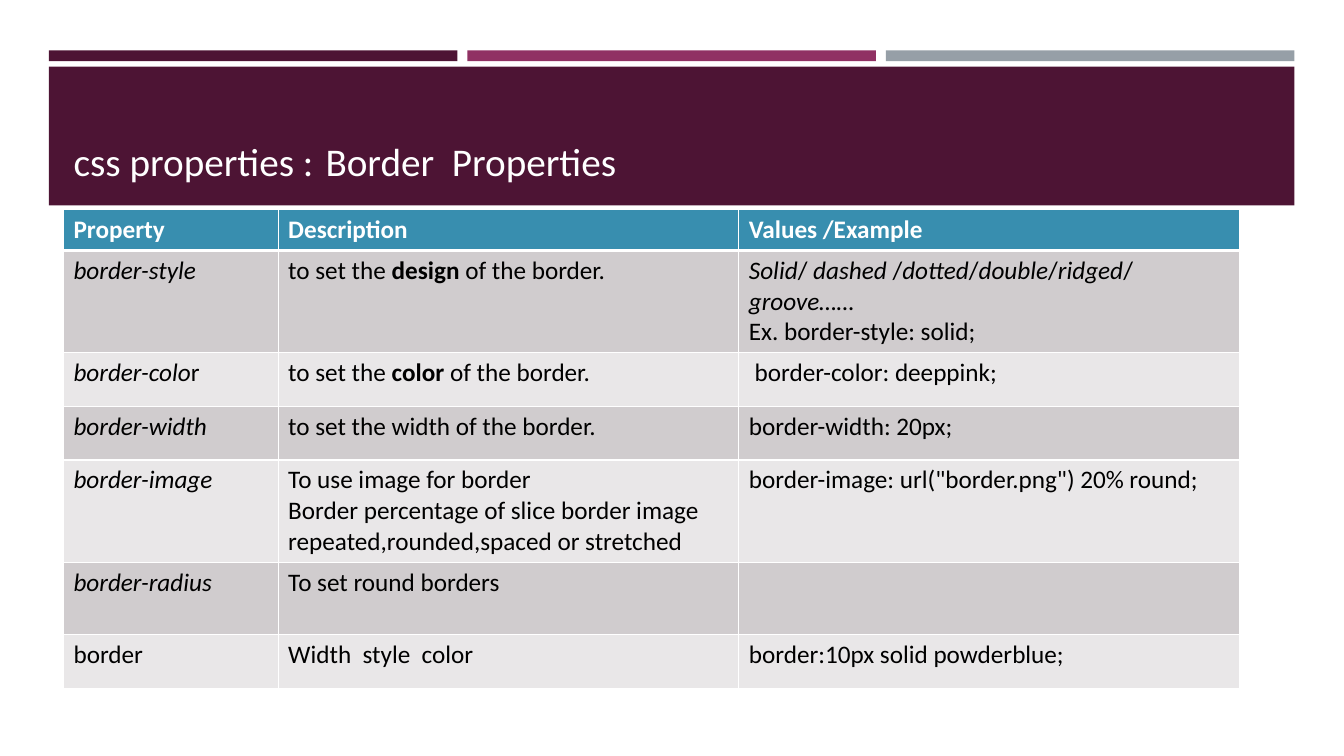
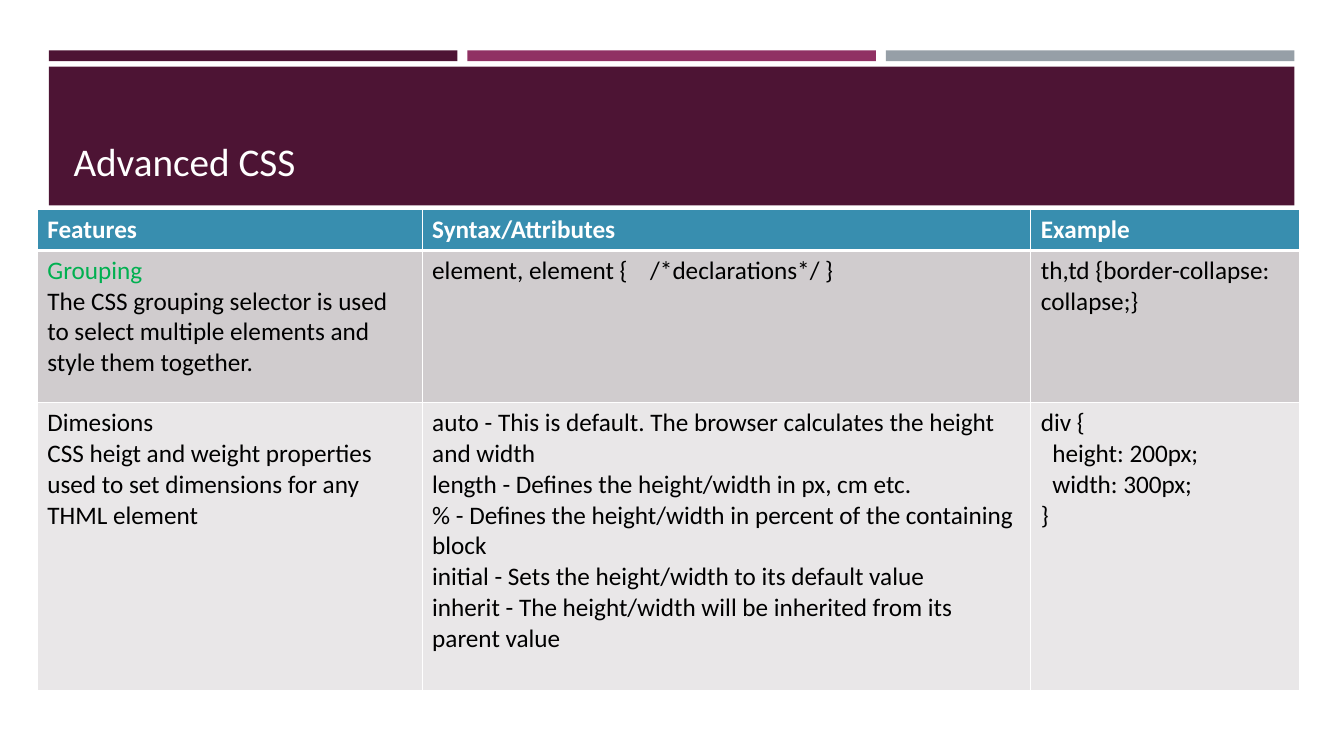
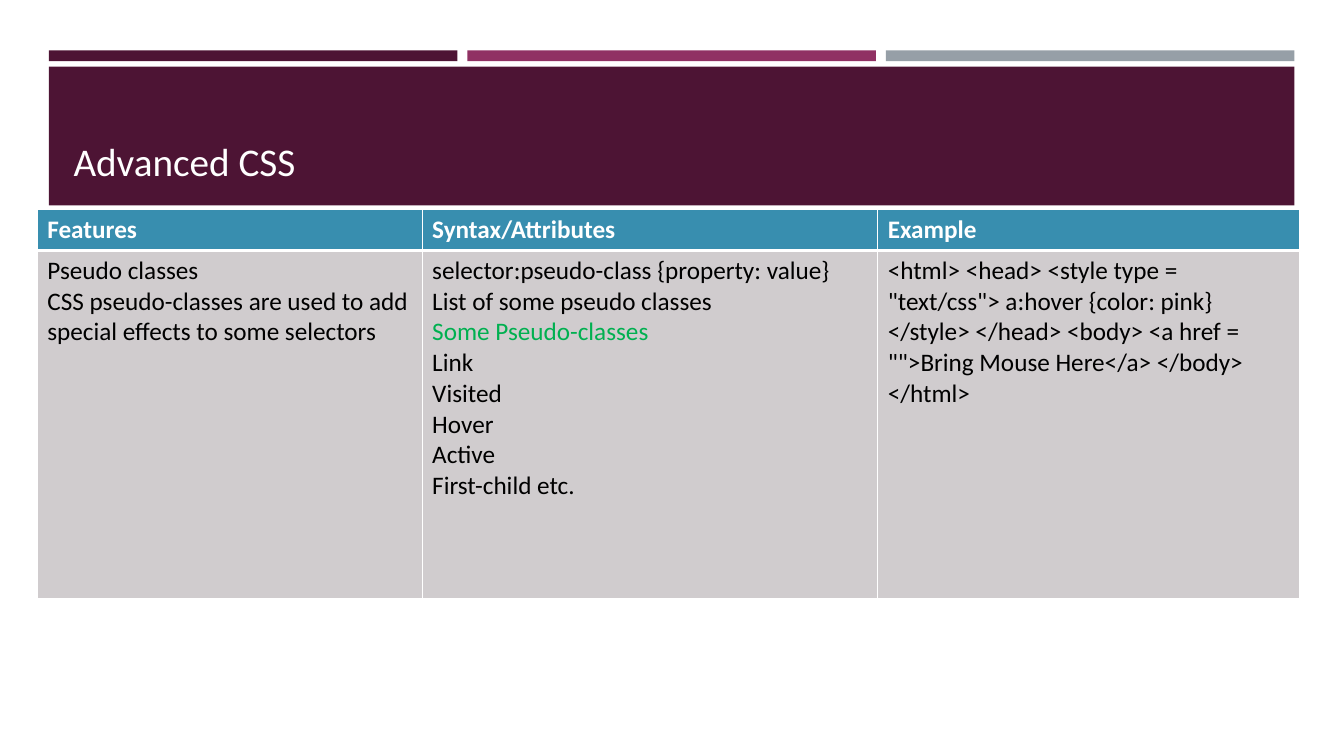
from lxml.etree import SubElement as Sub
from pptx import Presentation
from pptx.dml.color import RGBColor
from pptx.enum.shapes import MSO_SHAPE as Shape
from pptx.enum.text import MSO_ANCHOR as Anchor, MSO_AUTO_SIZE as Auto, PP_ALIGN as Align
from pptx.oxml.ns import qn
from pptx.util import Cm, Pt

FONT = "Calibri"
PLUM, ROSE, GREY, WHITE, BLACK = "4D1434", "903163", "969FA7", "FFFFFF", "000000"
BLUE, GREEN, DARK, PALE = "388EAF", "00B050", "D0CCCE", "E9E7E8"
BAND = (1.23, 1.27, 31.39, 3.91)
GAP = 0.25
TOP = 5.28
HEAD = 1.0
STYLES = {"": {}, "b": {"bold": True}, "i": {"italic": True}, "g": {"color": GREEN}}


def paint(fill, color):
    """Fill with one solid colour given as a hex string."""
    fill.solid()
    fill.fore_color.rgb = RGBColor.from_string(color)


def write(para, text, size, color=BLACK, bold=False, italic=False):
    """Add one formatted run to a paragraph."""
    run = para.add_run()
    run.text = text
    font = run.font
    font.name, font.size, font.bold, font.italic = FONT, Pt(size), bold, italic
    font.color.rgb = RGBColor.from_string(color)


def block(slide, color, x, y, w, h):
    """Add a plain rectangle without outline or shadow."""
    rect = slide.shapes.add_shape(Shape.RECTANGLE, Cm(x), Cm(y), Cm(w), Cm(h))
    rect.shadow.inherit = False
    rect.line.fill.background()
    paint(rect.fill, color)
    return rect


def frame(deck, layout, box):
    """Give the layout its three bars, title band and title place."""
    x, y, w, h = box
    for part in list(layout.placeholders)[1:]:
        part.element.getparent().remove(part.element)
    slide = deck.slides.add_slide(layout)
    wide = (w - 2 * GAP) / 3
    rects = [block(slide, color, x + col * (wide + GAP), y, wide, 0.27)
             for col, color in enumerate((PLUM, ROSE, GREY))]
    rects.append(block(slide, PLUM, x, y + 0.41, w, h - 0.41))
    for spot, rect in enumerate(rects, 2):
        layout.shapes.element.insert(spot, rect.element)
    title = layout.placeholders[0]
    title.left, title.top = Cm(x + 0.37), Cm(y + 0.76)
    title.width, title.height = Cm(w - 0.76), Cm(2.74)
    title.text_frame.vertical_anchor = Anchor.BOTTOM
    title.text_frame.auto_size = Auto.NONE
    return slide


def head(slide, text):
    """Write the slide title, with one tab stop."""
    para = slide.shapes.title.text_frame.paragraphs[0]
    para.alignment = Align.LEFT
    tabs = Sub(para._p.get_or_add_pPr(), qn("a:tabLst"))
    Sub(tabs, qn("a:tab"), pos=str(Cm(6.35)), algn="l")
    write(para, text, 28, WHITE)


def edge(cell, row):
    """Draw white cell borders, thick below the header row."""
    prop = cell._tc.get_or_add_tcPr()
    thick = {0: "lnB", 1: "lnT"}.get(row)
    for side in ("lnL", "lnR", "lnT", "lnB"):
        line = Sub(prop, qn("a:" + side), w=str(Pt(3 if side == thick else 1)))
        Sub(Sub(line, qn("a:solidFill")), qn("a:srgbClr"), val=WHITE)


def fill(cell, row, paras):
    """Style one cell and write its paragraphs."""
    edge(cell, row)
    paint(cell.fill, BLUE if row == 0 else DARK if row % 2 else PALE)
    for num, runs in enumerate([paras] if isinstance(paras, str) else paras):
        text = cell.text_frame
        para = text.add_paragraph() if num else text.paragraphs[0]
        for words, style in [(runs, "")] if isinstance(runs, str) else runs:
            look = {"color": WHITE, "bold": True} if row == 0 else STYLES[style]
            if words:
                write(para, words, 18, **look)


def grid(slide, left, top, cols, rows, data):
    """Place a table with the given column widths and row heights."""
    table = slide.shapes.add_table(len(rows), len(cols), Cm(left), Cm(top),
                                   Cm(sum(cols)), Cm(sum(rows))).table
    table.first_row = table.horz_banding = False
    for col, width in zip(table.columns, cols):
        col.width = Cm(width)
    for row, height in zip(table.rows, rows):
        row.height = Cm(height)
    for row, line in enumerate(data):
        for col, paras in enumerate(line):
            fill(table.cell(row, col), row, paras)


def ital(text):
    """Return a cell with one italic paragraph."""
    return [[(text, "i")]]


BORDER = [
    ["Property", "Description", "Values /Example"],
    [ital("border-style"),
     [[("to set the ", ""), ("design", "b"), (" of the border.", "")]],
     [[("Solid", "i"), ("/ ", ""), ("dashed", "i"), (" /", ""), ("dotted", "i"),
       ("/", ""), ("double", "i"), ("/", ""), ("ridged", "i"), ("/ ", ""),
       ("groove……", "i")],
      "Ex. border-style: solid;"]],
    [[[("border-colo", "i"), ("r", "")]],
     [[("to set the ", ""), ("color ", "b"), ("of the border.", "")]],
     " border-color: deeppink;"],
    [ital("border-width"), "to set the width of the border.", "border-width: 20px;"],
    [ital("border-image"),
     ["To use image for border",
      "Border percentage of slice border image repeated,rounded,spaced or stretched"],
     'border-image: url("border.png") 20% round;'],
    [ital("border-radius"), "To set round borders", ""],
    ["border", "Width  style  color", "border:10px solid powderblue;"],
]
TITLES = ["Features", "Syntax/Attributes", "Example"]
GROUP = [
    TITLES,
    [[[("Grouping", "g")],
      "The CSS grouping selector is used to select multiple elements and style them together."],
     "element, element {    /*declarations*/ }",
     "th,td {border-collapse: collapse;}"],
    [["Dimesions",
      "CSS heigt and weight properties used to set dimensions for any THML element"],
     ["auto - This is default. The browser calculates the height and width",
      "length - Defines the height/width in px, cm etc.",
      "% - Defines the height/width in percent of the containing block",
      "initial - Sets the height/width to its default value",
      "inherit - The height/width will be inherited from its parent value"],
     ["div {", "  height: 200px;", "  width: 300px;", "}"]],
]
PSEUDO = [
    TITLES,
    [["Pseudo classes",
      "CSS pseudo-classes are used to add special effects to some selectors"],
     ["selector:pseudo-class {property: value}", "List of some pseudo classes",
      [("Some Pseudo-classes", "g")],
      "Link", "Visited", "Hover", "Active", "First-child etc."],
     '<html> <head> <style type = "text/css"> a:hover {color: pink} </style> </head> '
     '<body> <a href = "">Bring Mouse Here</a> </body> </html>'],
]
PAGES = [
    ("css properties : \tBorder  Properties", 1.6, (5.41, 11.61, 12.62),
     (HEAD, 2.58, 1.35, 1.35, 2.58, 1.82, 1.35), BORDER),
    ("Advanced CSS", 0.94, (9.7, 15.34, 6.78), (HEAD, 3.84, 7.24), GROUP),
    ("Advanced CSS", 0.94, (9.7, 11.48, 10.64), (HEAD, 8.78), PSEUDO),
]


def main():
    """Build and save the deck."""
    deck = Presentation()
    deck.slide_width, deck.slide_height = Cm(33.87), Cm(19.05)
    layout = deck.slide_layouts.get_by_name("Title Only")
    slide = frame(deck, layout, BAND)
    for num, (title, left, cols, rows, data) in enumerate(PAGES):
        if num:
            slide = deck.slides.add_slide(layout)
        head(slide, title)
        grid(slide, left, TOP, cols, rows, data)
    deck.save("out.pptx")


if __name__ == "__main__":
    main()
